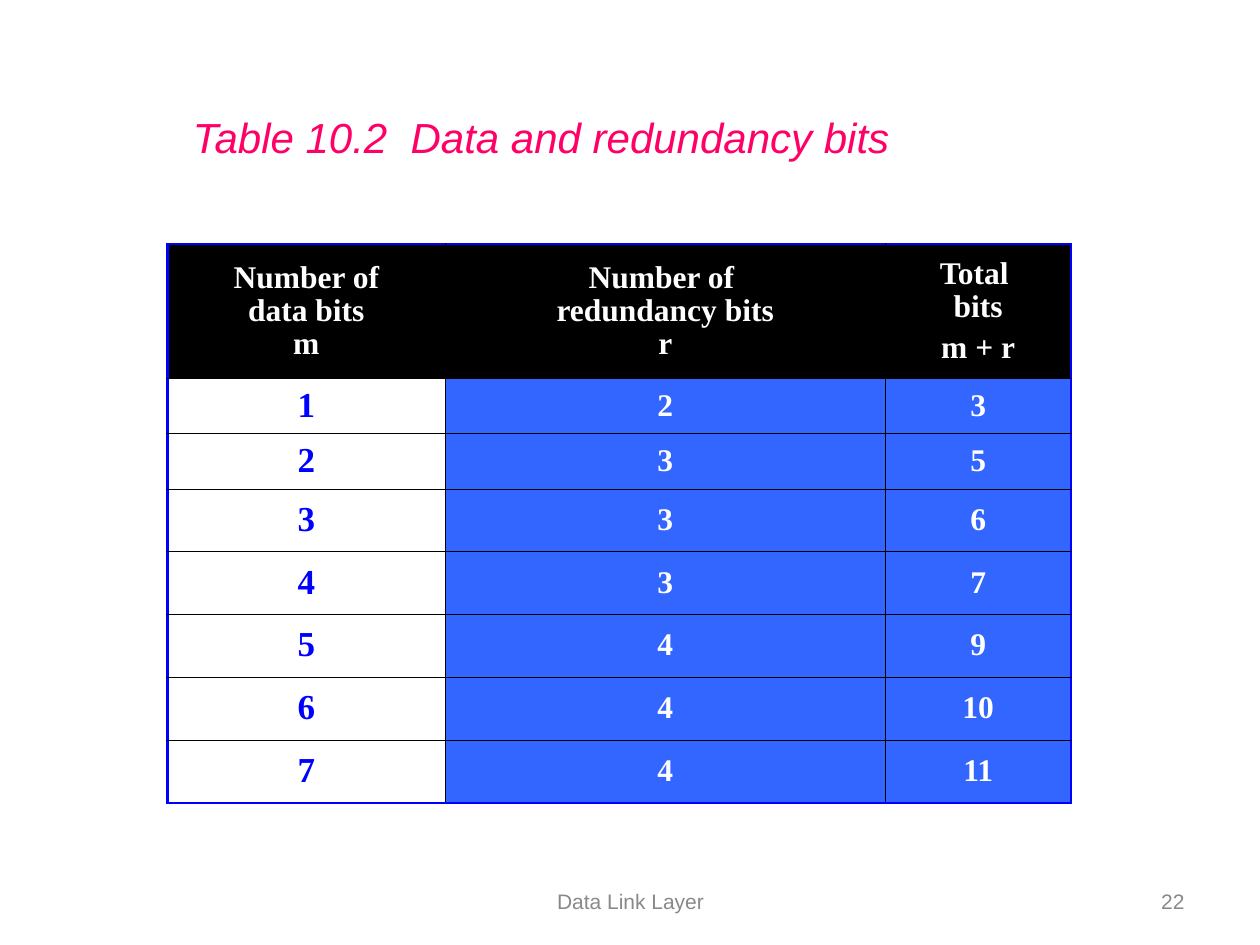
from lxml import etree
from pptx import Presentation, util as u
from pptx.dml.color import RGBColor
from pptx.enum import text
from pptx.oxml.ns import qn

BLACK = RGBColor(0x00, 0x00, 0x00)
WHITE = RGBColor(0xFF, 0xFF, 0xFF)
BLUE = RGBColor(0x00, 0x00, 0xFF)
SKY = RGBColor(0x33, 0x66, 0xFF)
PINK = RGBColor(0xFF, 0x00, 0x66)
GREY = RGBColor(0x89, 0x89, 0x89)

WIDTH, HEIGHT = u.Inches(10), u.Inches(7.5)
COLUMNS = [2.2, 3.49, 1.47]
ROWS = [1.07] + [0.44] * 2 + [0.5] * 5
HEADINGS = ["Number of\vdata bits\vm",
            "Number of \vredundancy bits\vr",
            "Total \vbits\nm + r"]
REDUNDANCY = [2, 3, 3, 3, 4, 4, 4]
THICK, THIN = (BLUE, 1.47), (BLACK, 0.45)


def share(left, top, width, height):
    return [int(WIDTH * left), int(HEIGHT * top), int(WIDTH * width), int(HEIGHT * height)]


def write(frame, words, size=12, font="Arial", color=GREY, bold=False, italic=False,
          align=text.PP_ALIGN.CENTER, before=0, spacing=1.0):
    frame.text = words
    for para in frame.paragraphs:
        para.alignment = align
        para.space_before = u.Pt(before)
        para.line_spacing = spacing
        for span in para.runs:
            span.font.size = u.Pt(size)
            span.font.name = font
            span.font.color.rgb = color
            span.font.bold = bold
            span.font.italic = italic


def set_borders(cell, **sides):
    props = cell._tc.get_or_add_tcPr()
    for side in "LRTB":
        color, points = sides[side]
        line = etree.SubElement(props, qn(f"a:ln{side}"), w=str(u.Pt(points)))
        fill = etree.SubElement(line, qn("a:solidFill"))
        etree.SubElement(fill, qn("a:srgbClr"), val=str(color))


def place_title(page, box):
    title = page.shapes.title
    title.left, title.top, title.width, title.height = box
    frame = title.text_frame
    write(frame, "Table 10.2  Data and redundancy bits", size=24, color=PINK,
          italic=True, align=text.PP_ALIGN.LEFT)
    frame.vertical_anchor = text.MSO_ANCHOR.TOP
    frame.word_wrap = False
    frame.auto_size = text.MSO_AUTO_SIZE.SHAPE_TO_FIT_TEXT


def place_table(page, box):
    records = [HEADINGS] + [[m, r, m + r] for m, r in enumerate(REDUNDANCY, 1)]
    grid = page.shapes.add_table(len(ROWS), len(COLUMNS), *box).table
    for column, part in zip(grid.columns, COLUMNS):
        column.width = int(box[2] * part / sum(COLUMNS))
    for row, part in zip(grid.rows, ROWS):
        row.height = int(box[3] * part / sum(ROWS))
    last_row, last_column = len(ROWS) - 1, len(COLUMNS) - 1
    for i, record in enumerate(records):
        for j, value in enumerate(record):
            cell = grid.cell(i, j)
            is_key = i > 0 and j == 0
            set_borders(cell,
                        L=THICK if j == 0 else THIN,
                        R=THICK if j == last_column else THIN,
                        T=THICK if i == 0 else THIN,
                        B=THICK if i == last_row else THIN)
            cell.fill.solid()
            cell.fill.fore_color.rgb = BLACK if i == 0 else WHITE if is_key else SKY
            cell.vertical_anchor = text.MSO_ANCHOR.MIDDLE
            write(cell.text_frame, str(value), size=20 if is_key else 18,
                  font="Times New Roman", color=BLUE if is_key else WHITE,
                  bold=True, before=5 if is_key else 4.5, spacing=0.95)


def place_footer(page, box, words, align):
    frame = page.shapes.add_textbox(*box).text_frame
    frame.word_wrap = True
    frame.vertical_anchor = text.MSO_ANCHOR.MIDDLE
    write(frame, words, align=align)


def main():
    deck = Presentation()
    deck.slide_width, deck.slide_height = WIDTH, HEIGHT
    page = deck.slides.add_slide(deck.slide_layouts[5])
    place_title(page, share(0.143, 0.111, 0.576, 0.067))
    place_table(page, share(0.133, 0.2585, 0.717, 0.591))
    place_footer(page, share(0.342, 0.927, 0.317, 0.053), "Data Link Layer",
                 text.PP_ALIGN.CENTER)
    place_footer(page, share(0.717, 0.927, 0.233, 0.053), "22", text.PP_ALIGN.RIGHT)
    deck.save("out.pptx")


if __name__ == "__main__":
    main()
